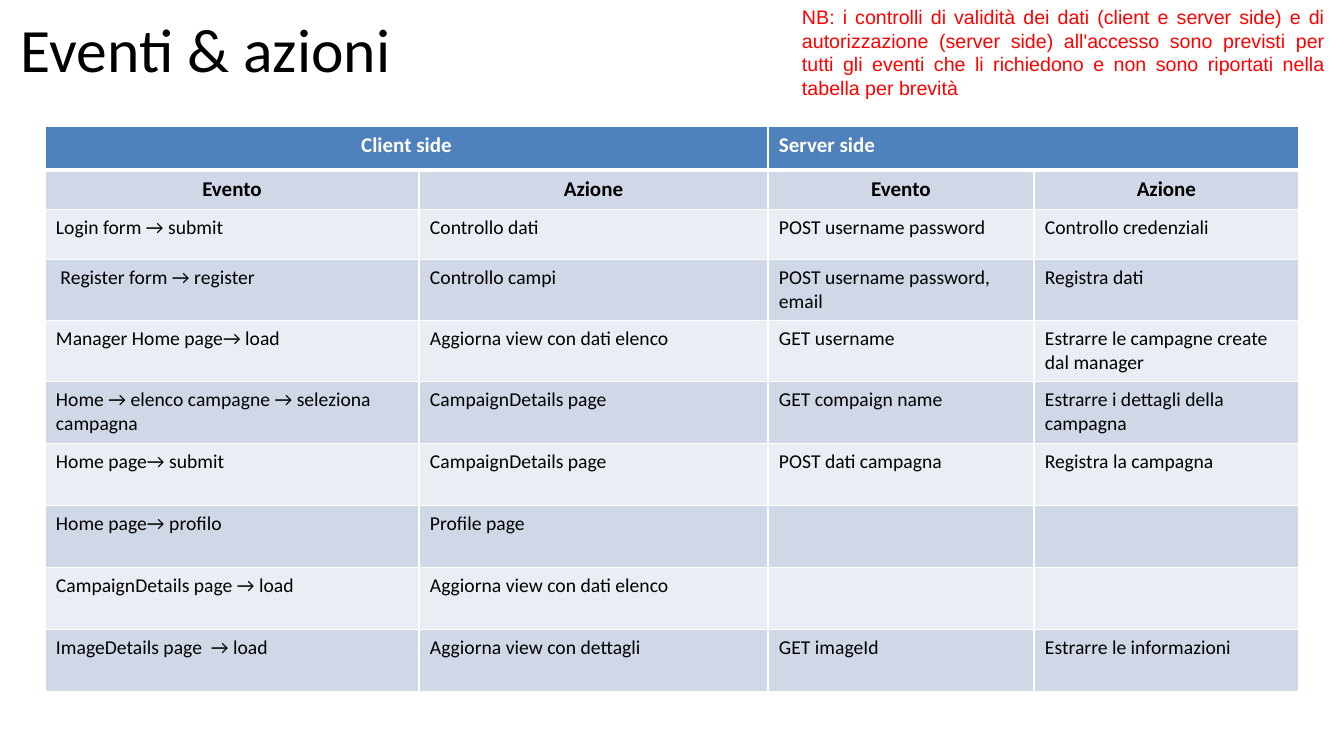
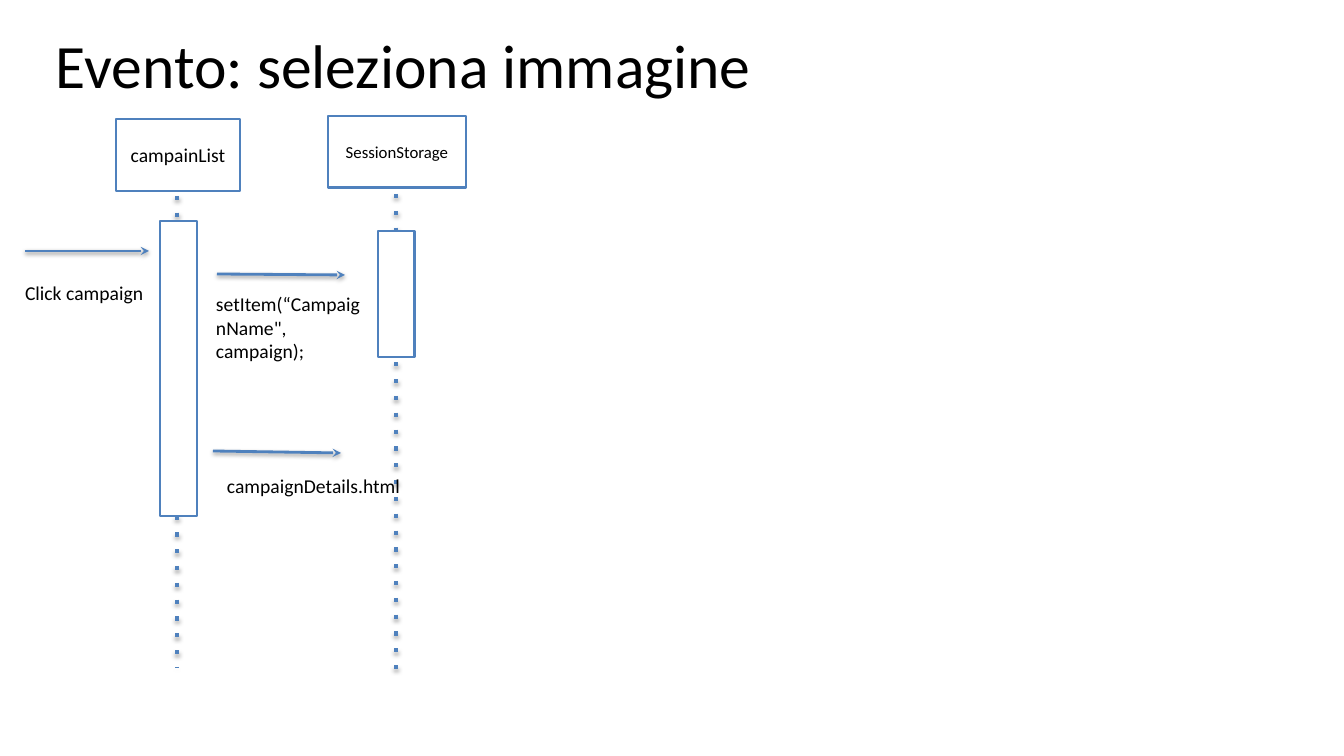
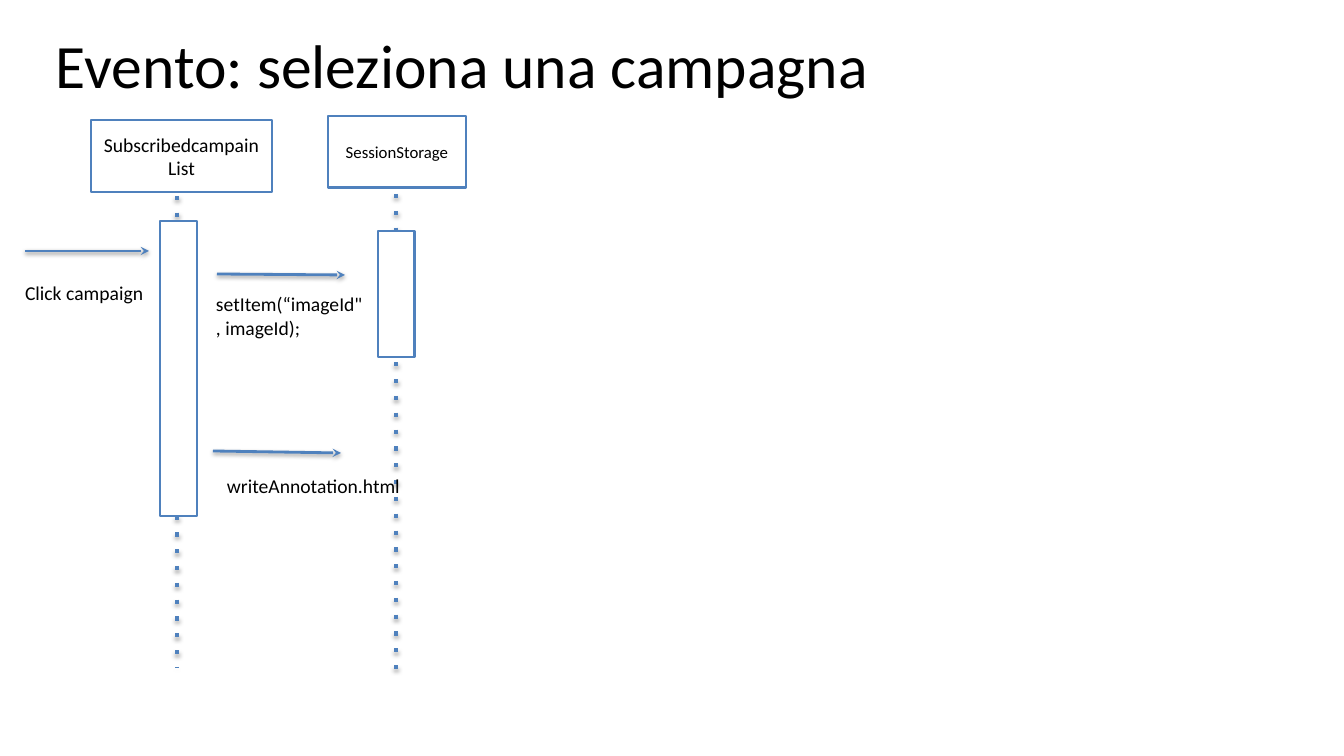
from lxml import etree
from pptx import Presentation
from pptx.dml.color import RGBColor
from pptx.enum.shapes import MSO_CONNECTOR, MSO_SHAPE
from pptx.enum.text import MSO_ANCHOR, PP_ALIGN
from pptx.oxml.ns import qn
from pptx.util import Pt

RECTANGLE = MSO_SHAPE.RECTANGLE
STRAIGHT = MSO_CONNECTOR.STRAIGHT
TOP, MIDDLE = MSO_ANCHOR.TOP, MSO_ANCHOR.MIDDLE
LEFT, CENTER, JUSTIFY = PP_ALIGN.LEFT, PP_ALIGN.CENTER, PP_ALIGN.JUSTIFY

# Shared look
BLUE, WHITE, BLACK, RED = "4F81BD", "FFFFFF", "000000", "FF0000"
DARK_BAND, LIGHT_BAND = "D0D8E8", "E9EDF4"
BODY_FONT, NOTE_FONT = "Calibri", "Arial"
TITLE_SIZE, HEADING_SIZE, BODY_SIZE, SMALL_SIZE = 44, 15, 14, 12
WIDE_INSET, NARROW_INSET, CELL_INSET = (12, 6), (10, 5), (11, 7)

# Events table
COLUMN_WIDTHS = [374, 349, 266, 265]
ROW_HEIGHTS = [44, 36] + [50] * 3 + [62] * 5
SIDES = ["Client side", "Server side"]
EVENT_ROWS = [
    ["Evento", "Azione", "Evento", "Azione"],
    ["Login form → submit", "Controllo dati", "POST username password",
     "Controllo credenziali"],
    [" Register form → register", "Controllo campi",
     "POST username password, email", "Registra dati"],
    ["Manager Home page→ load", "Aggiorna view con dati elenco",
     "GET username", "Estrarre le campagne create dal manager"],
    ["Home → elenco campagne → seleziona campagna", "CampaignDetails page",
     "GET compaign name", "Estrarre i dettagli della campagna"],
    ["Home page→ submit", "CampaignDetails page", "POST dati campagna",
     "Registra la campagna"],
    ["Home page→ profilo", "Profile page", "", ""],
    ["CampaignDetails page → load", "Aggiorna view con dati elenco", "", ""],
    ["ImageDetails page  → load", "Aggiorna view con dettagli",
     "GET imageId", "Estrarre le informazioni"],
]
VALIDITY_NOTE = (
    "NB: i controlli di validità dei dati (client e server side) e di "
    "autorizzazione (server side) all'accesso sono previsti per tutti gli "
    "eventi che li richiedono e non sono riportati nella tabella per brevità")


def px(length):
    return round(length * 914400 / 100.8)


def rgb(hex_color):
    return RGBColor.from_string(hex_color)


def add_xml(parent, tag, **attributes):
    return etree.SubElement(parent, qn(tag), attributes)


def set_margins(holder, inset):
    holder.margin_left = holder.margin_right = px(inset[0])
    holder.margin_top = holder.margin_bottom = px(inset[1])


def write(frame, text, size, color=BLACK, font=BODY_FONT, align=LEFT,
          bold=False):
    frame.text = text
    for paragraph in frame.paragraphs:
        paragraph.alignment = align
        for run in paragraph.runs:
            run.font.name = font
            run.font.size = Pt(size)
            run.font.bold = bold
            run.font.color.rgb = rgb(color)


def add_text(slide, box, text, size=BODY_SIZE, inset=WIDE_INSET, anchor=TOP,
             **style):
    frame = slide.shapes.add_textbox(*map(px, box)).text_frame
    frame.word_wrap = True
    frame.vertical_anchor = anchor
    set_margins(frame, inset)
    write(frame, text, size, **style)


def add_title(slide, box, text):
    add_text(slide, box, text, TITLE_SIZE, anchor=MIDDLE)


def add_box(slide, box, text="", size=BODY_SIZE):
    outline = slide.shapes.add_shape(RECTANGLE, *map(px, box))
    outline.shadow.inherit = False
    outline.fill.solid()
    outline.fill.fore_color.rgb = rgb(WHITE)
    outline.line.color.rgb = rgb(BLUE)
    outline.line.width = Pt(2)
    if text:
        frame = outline.text_frame
        frame.word_wrap = True
        frame.vertical_anchor = MIDDLE
        set_margins(frame, WIDE_INSET)
        write(frame, text, size, align=CENTER)


def add_line(slide, ends, width, shadow_distance, shadow_opacity):
    """Draw a blue line with a soft shadow below; return its a:ln."""
    line = slide.shapes.add_connector(STRAIGHT, *map(px, ends))
    line.line.color.rgb = rgb(BLUE)
    line.line.width = Pt(width)
    properties = line.element.spPr
    shadow = add_xml(add_xml(properties, "a:effectLst"), "a:outerShdw",
                     blurRad=str(Pt(3.1)), dist=str(Pt(shadow_distance)),
                     dir="5400000", rotWithShape="0")
    tint = add_xml(shadow, "a:srgbClr", val=BLACK)
    add_xml(tint, "a:alpha", val=str(shadow_opacity * 1000))
    return properties.find(qn("a:ln"))


def add_message(slide, *ends):
    add_xml(add_line(slide, ends, 2, 1.6, 38), "a:tailEnd", type="stealth")


def add_lifeline(slide, x, top, bottom):
    stroke = add_line(slide, (x, top, x, bottom), 3, 1.8, 35)
    add_xml(stroke, "a:prstDash", val="dot")


def style_cell(cell, fill, bottom_border=1):
    set_margins(cell, CELL_INSET)
    widths = {"a:lnL": 1, "a:lnR": 1, "a:lnT": 1, "a:lnB": bottom_border}
    for tag, width in widths.items():
        border = add_xml(cell._tc.get_or_add_tcPr(), tag, w=str(Pt(width)))
        add_xml(add_xml(border, "a:solidFill"), "a:srgbClr", val=WHITE)
    cell.fill.solid()
    cell.fill.fore_color.rgb = rgb(fill)


def add_events_table(slide, left, top):
    events = slide.shapes.add_table(
        len(ROW_HEIGHTS), len(COLUMN_WIDTHS), px(left), px(top),
        px(sum(COLUMN_WIDTHS)), px(sum(ROW_HEIGHTS))).table
    events.first_row = events.horz_banding = False
    for column, width in zip(events.columns, COLUMN_WIDTHS):
        column.width = px(width)
    for row, height in zip(events.rows, ROW_HEIGHTS):
        row.height = px(height)

    # Client and server headings, each over two columns
    for column in range(len(COLUMN_WIDTHS)):
        style_cell(events.cell(0, column), BLUE, bottom_border=3)
    for side, (heading, align) in enumerate(zip(SIDES, (CENTER, LEFT))):
        cell = events.cell(0, 2 * side)
        cell.merge(events.cell(0, 2 * side + 1))
        write(cell.text_frame, heading, HEADING_SIZE, WHITE, align=align,
              bold=True)

    # Column headings and banded rows
    for number, texts in enumerate(EVENT_ROWS, start=1):
        is_heading = number == 1
        for column, text in enumerate(texts):
            cell = events.cell(number, column)
            style_cell(cell, DARK_BAND if number % 2 else LIGHT_BAND)
            write(cell.text_frame, text,
                  HEADING_SIZE if is_heading else BODY_SIZE,
                  align=CENTER if is_heading else LEFT, bold=is_heading)


def add_sequence(slide, title, list_name, list_box, stored_item, next_page):
    add_title(slide, (44, 1, 1183, 126), title)

    # List that receives the click
    add_lifeline(slide, 177, 179, 667)
    add_box(slide, list_box, list_name)
    add_box(slide, (160, 221, 37, 295))

    # Session storage
    add_box(slide, (328, 116, 138, 72), "SessionStorage", SMALL_SIZE)
    add_lifeline(slide, 396, 194, 681)
    add_box(slide, (378, 231, 37, 126))

    # Messages and their labels
    add_message(slide, 25, 251, 149, 251)
    add_text(slide, (13, 275, 163, 49), "Click campaign")
    add_message(slide, 217, 274, 345, 275)
    add_text(slide, (206, 287, 170, 82), stored_item, inset=NARROW_INSET)
    add_message(slide, 213, 451, 341, 453)
    add_text(slide, (215, 468, 225, 49), next_page)


def main():
    deck = Presentation()
    deck.slide_width, deck.slide_height = px(1344), px(756)
    blank = deck.slide_layouts[6]

    # Events and actions
    overview = deck.slides.add_slide(blank)
    add_title(overview, (9, -15, 1210, 126), "Eventi & azioni")
    add_events_table(overview, 45, 126)
    add_text(overview, (792, 0, 543, 105), VALIDITY_NOTE, inset=NARROW_INSET,
             color=RED, font=NOTE_FONT, align=JUSTIFY)

    # Sequence diagrams
    add_sequence(deck.slides.add_slide(blank), "Evento: seleziona immagine",
                 "campainList", (116, 119, 124, 72),
                 "setItem(“CampaignName\", campaign);", "campaignDetails.html")
    add_sequence(deck.slides.add_slide(blank),
                 "Evento: seleziona una campagna",
                 "SubscribedcampainList", (91, 120, 181, 72),
                 "setItem(“imageId\", imageId);", "writeAnnotation.html")

    deck.save("out.pptx")


main()
